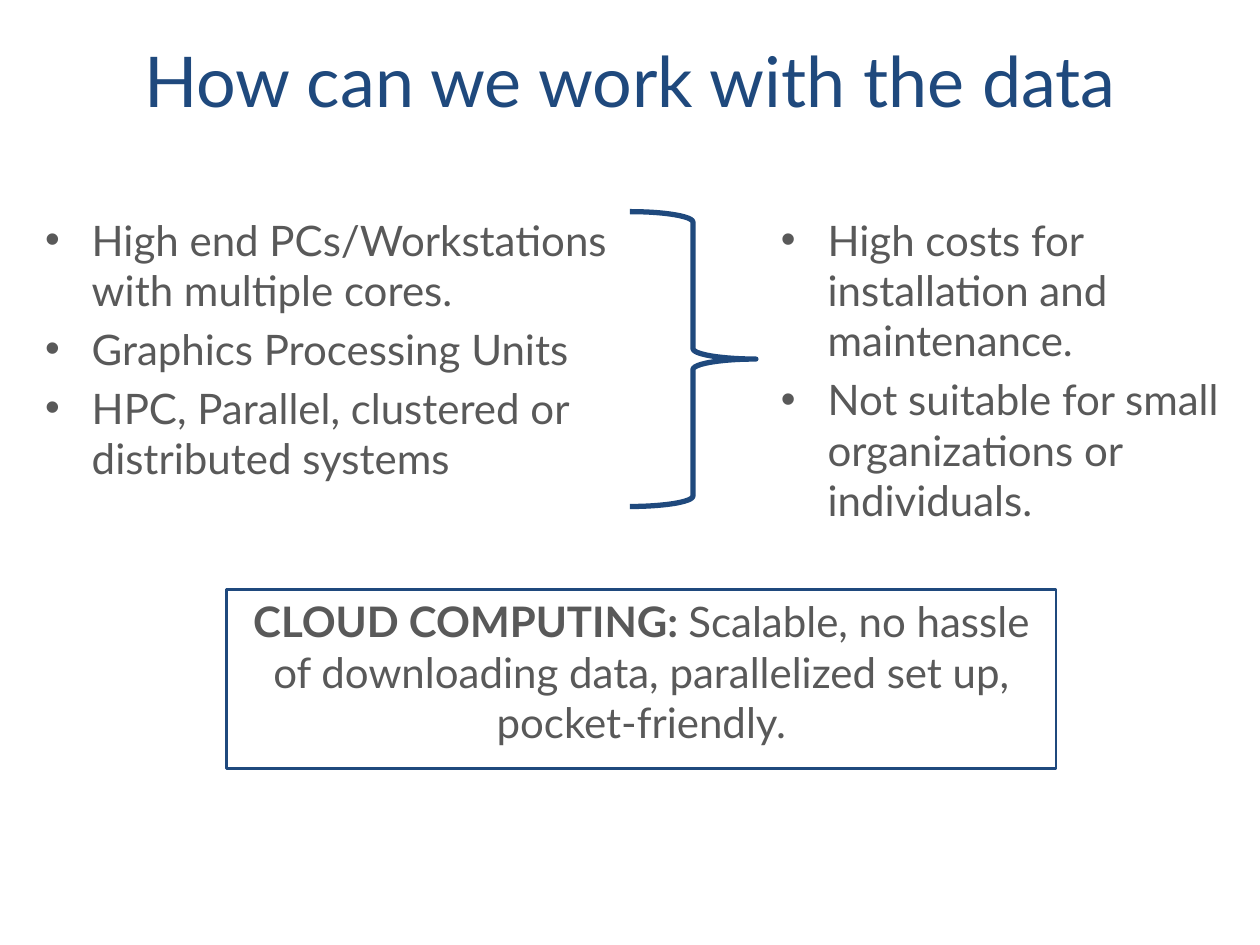
"""Build a slide on ways of working with large data."""
from lxml import etree
from pptx import Presentation
from pptx.dml.color import RGBColor
from pptx.enum import shapes, text
from pptx.oxml import ns
from pptx.util import Inches, Pt

COLORS = {"accent": "1F497D", "body": "595959", "background": "FFFFFF"}
BODY = {"size": Pt(24), "name": "Lato"}
TITLE = {"size": Pt(40), "name": "Lato", "bold": False}
FRAME = {
    "word_wrap": True,
    "auto_size": text.MSO_AUTO_SIZE.NONE,
    "vertical_anchor": text.MSO_ANCHOR.TOP,
}
PC_OPTIONS = [
    "High end PCs/Workstations with multiple cores.",
    "Graphics Processing Units",
    "HPC, Parallel, clustered or distributed systems",
]
DRAWBACKS = [
    "High costs for installation and maintenance.",
    "Not suitable for small organizations or individuals.",
]


def color(name):
    return RGBColor.from_string(COLORS[name])


def apply(target, values):
    for name, value in values.items():
        setattr(target, name, value)


def place(shape, box):
    apply(shape, dict(zip(("left", "top", "width", "height"), map(Inches, box))))


def add_run(paragraph, words, values, color_name="body"):
    run = paragraph.add_run()
    run.text = words
    apply(run.font, values)
    run.font.color.rgb = color(color_name)


def add_bullet(paragraph):
    properties = paragraph._p.get_or_add_pPr()
    properties.set("marL", str(Inches(0.38)))
    properties.set("indent", str(Inches(-0.37)))
    bullet_font = etree.SubElement(properties, ns.qn("a:buFont"))
    bullet_font.set("typeface", "Arial")
    etree.SubElement(properties, ns.qn("a:buChar")).set("char", "•")


def add_title(slide, words, box):
    title = slide.shapes.title
    place(title, box)
    apply(title.text_frame, FRAME | {"vertical_anchor": text.MSO_ANCHOR.MIDDLE})
    paragraph = title.text_frame.paragraphs[0]
    paragraph.alignment = text.PP_ALIGN.CENTER
    add_run(paragraph, words, TITLE, "accent")


def add_bullet_list(slide, items, box):
    frame = slide.shapes.add_textbox(*map(Inches, box)).text_frame
    apply(frame, FRAME)
    for index, item in enumerate(items):
        paragraph = frame.add_paragraph() if index else frame.paragraphs[0]
        paragraph.space_before = Pt(4.8)
        add_bullet(paragraph)
        add_run(paragraph, item, BODY)


def add_outline(slide, kind, box, line_width):
    shape = slide.shapes.add_shape(kind, *map(Inches, box))
    shape.shadow.inherit = False
    shape.fill.background()
    shape.line.color.rgb = color("accent")
    shape.line.width = Pt(line_width)
    return shape


def add_callout(slide, label, words, box):
    shape = add_outline(slide, shapes.MSO_SHAPE.RECTANGLE, box, 1.5)
    apply(shape.text_frame, FRAME)
    paragraph = shape.text_frame.paragraphs[0]
    apply(paragraph, {"alignment": text.PP_ALIGN.CENTER, "space_before": Pt(4.8)})
    add_run(paragraph, label, BODY | {"bold": True})
    add_run(paragraph, words, BODY)


def main():
    presentation = Presentation()
    apply(presentation, {"slide_width": Inches(10), "slide_height": Inches(7.5)})
    slide = presentation.slides.add_slide(presentation.slide_layouts[5])
    slide.background.fill.solid()
    slide.background.fill.fore_color.rgb = color("background")
    add_title(slide, "How can we work with the data", (0.5, 0.16, 9, 0.94))
    add_bullet_list(slide, PC_OPTIONS, (0.25, 1.65, 4.67, 2.4))
    add_outline(slide, shapes.MSO_SHAPE.RIGHT_BRACE, (5, 1.68, 1, 2.34), 3)
    add_bullet_list(slide, DRAWBACKS, (6.09, 1.65, 3.74, 2.4))
    add_callout(
        slide,
        "CLOUD COMPUTING: ",
        "Scalable, no hassle of downloading data, parallelized set up, pocket-friendly.",
        (1.8, 4.68, 6.58, 1.42),
    )
    presentation.save("out.pptx")


if __name__ == "__main__":
    main()
